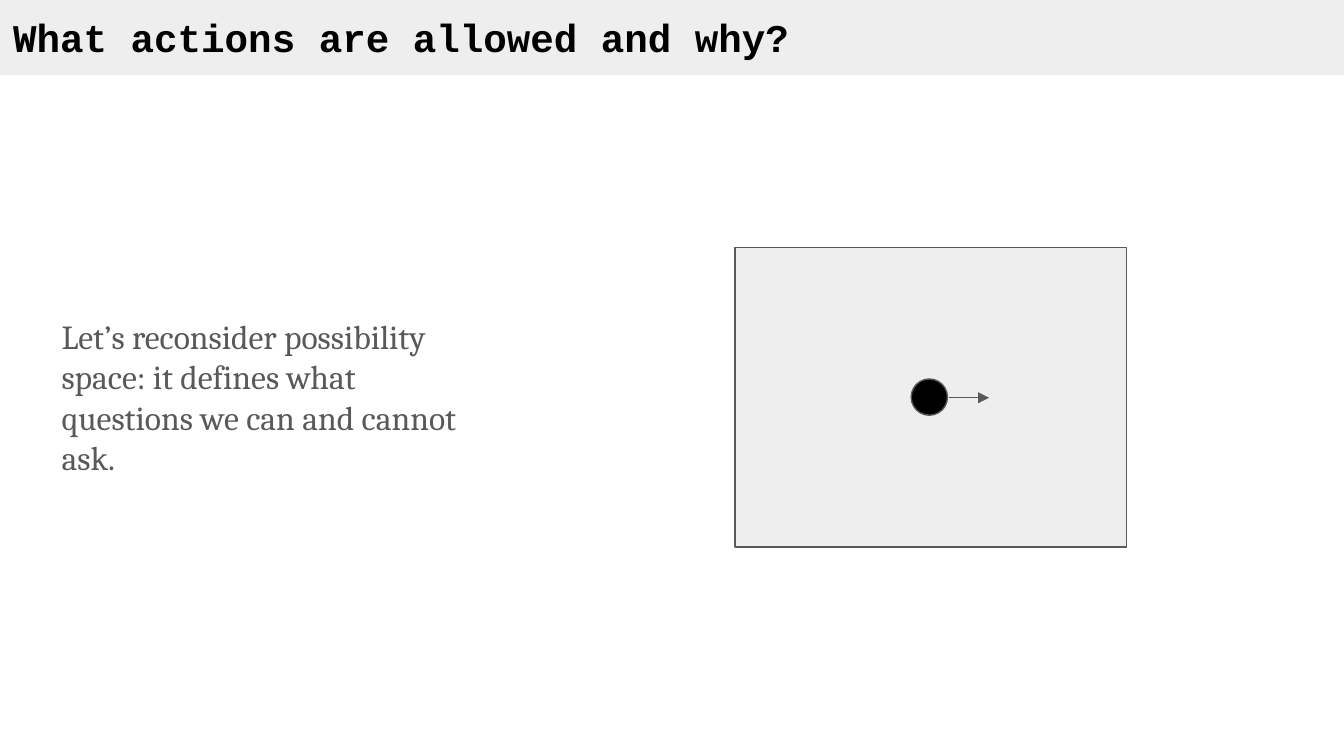
from pptx import Presentation
from pptx.dml.color import RGBColor
from pptx.enum.shapes import MSO_CONNECTOR, MSO_SHAPE
from pptx.oxml.ns import qn
from pptx.util import Inches, Pt
from lxml import etree

RECT = MSO_SHAPE.RECTANGLE
OVAL = MSO_SHAPE.OVAL
STRAIGHT = MSO_CONNECTOR.STRAIGHT


def rgb(value):
    return RGBColor.from_string(value)


class SlideBuilder:
    black = "000000"
    gray = "595959"
    light = "EEEEEE"
    line_width = 0.75
    inset = 0.1

    def __init__(self, slide):
        self.s = slide

    def outline(self, line):
        line.color.rgb = rgb(self.gray)
        line.width = Pt(self.line_width)

    def shape(self, kind, x, y, w, h, fill, outlined=True):
        sp = self.s.shapes.add_shape(kind, Inches(x), Inches(y), Inches(w), Inches(h))
        sp.shadow.inherit = False
        sp.fill.solid()
        sp.fill.fore_color.rgb = rgb(fill)
        if outlined:
            self.outline(sp.line)
        else:
            sp.line.fill.background()

    def text(self, x, y, w, h, text, font, size, color, bold=False):
        sp = self.s.shapes.add_textbox(Inches(x), Inches(y), Inches(w), Inches(h))
        tf = sp.text_frame
        tf.word_wrap = True
        tf.margin_left = tf.margin_right = Inches(self.inset)
        tf.margin_top = tf.margin_bottom = Inches(self.inset)
        p = tf.paragraphs[0]
        r = p.add_run()
        r.text = text
        r.font.name = font
        r.font.size = Pt(size)
        r.font.bold = bold
        r.font.color.rgb = rgb(color)

    def arrow(self, x1, y1, x2, y2):
        sp = self.s.shapes.add_connector(
            STRAIGHT, Inches(x1), Inches(y1), Inches(x2), Inches(y2)
        )
        self.outline(sp.line)
        ln = sp.line._get_or_add_ln()
        etree.SubElement(ln, qn("a:tailEnd"), type="triangle", w="med", len="med")
        etree.SubElement(ln.getparent(), qn("a:effectLst"))


def main():
    prs = Presentation()
    prs.slide_width = Inches(10)
    prs.slide_height = prs.slide_width * 9 // 16
    b = SlideBuilder(prs.slides.add_slide(prs.slide_layouts[6]))

    b.shape(RECT, -0.01, 0, 10.02, 0.56, b.light, outlined=False)
    b.text(0, 0, 9.86, 0.56, "What actions are allowed and why?",
           "Courier New", 21, b.black, bold=True)
    b.text(0.36, 2.25, 3.28, 1.41,
           "Let’s reconsider possibility space: it defines what questions "
           "we can and cannot ask.",
           "Cambria", 18, b.gray)

    b.shape(RECT, 5.47, 1.84, 2.91, 2.23, b.light)
    b.shape(OVAL, 6.78, 2.82, 0.27, 0.27, b.black)
    b.arrow(7.06, 2.96, 7.36, 2.96)

    prs.save("out.pptx")


if __name__ == "__main__":
    main()
